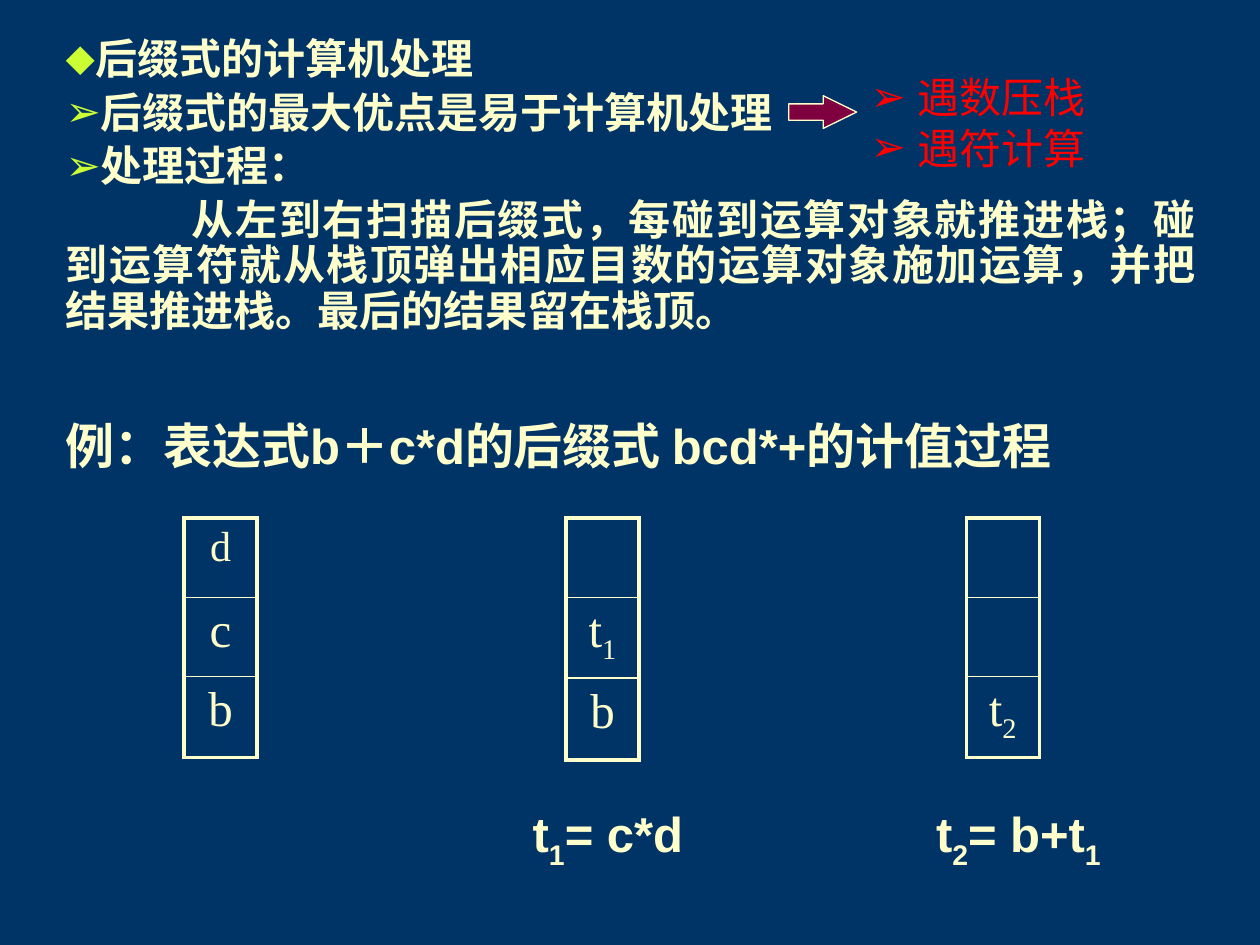
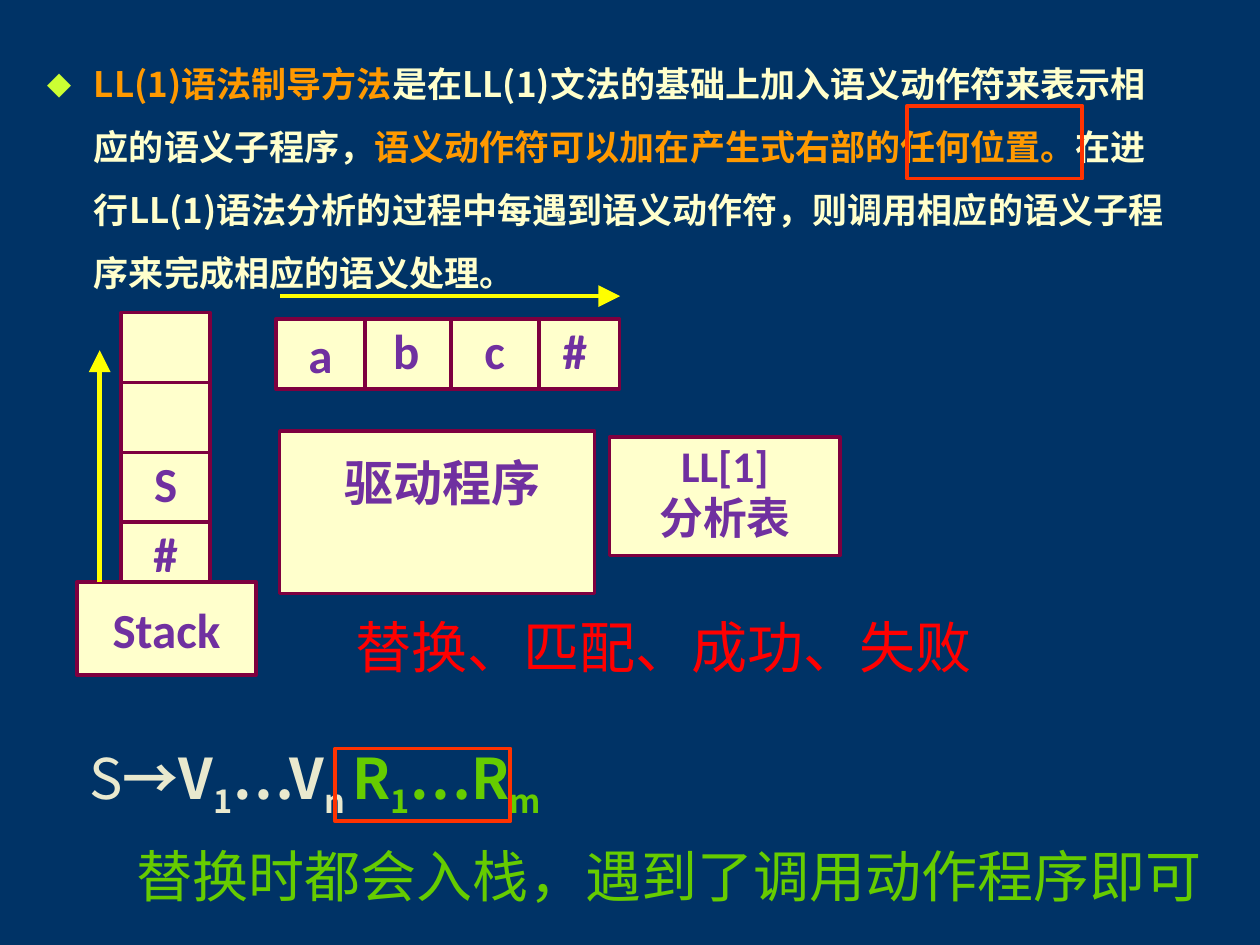
from lxml.etree import SubElement
from pptx import Presentation
from pptx.dml.color import RGBColor
from pptx.enum.shapes import MSO_CONNECTOR, MSO_SHAPE
from pptx.enum.text import MSO_ANCHOR, MSO_AUTO_SIZE, PP_ALIGN
from pptx.oxml.ns import qn
from pptx.util import Cm, Pt

NAVY = RGBColor(0x00, 0x33, 0x66)
CREAM = RGBColor(0xFF, 0xFF, 0xCC)
PALE = RGBColor(0xE9, 0xE9, 0xCE)
LIME = RGBColor(0xCC, 0xFF, 0x33)
GREEN = RGBColor(0x66, 0xCC, 0x00)
RED = RGBColor(0xFF, 0x00, 0x00)
FRAME_RED = RGBColor(0xFF, 0x33, 0x00)
ORANGE = RGBColor(0xFF, 0x99, 0x00)
YELLOW = RGBColor(0xFF, 0xFF, 0x00)
WINE = RGBColor(0x7E, 0x00, 0x3F)
PURPLE = RGBColor(0x70, 0x30, 0xA0)

SERIF, SANS, LABEL, CHINESE = "Times New Roman", "Arial", "Calibri", "Noto Sans CJK SC"
SUB = {"subscript": True}
DIAMOND, ARROWHEAD = "⬥", "➢"

# Postfix evaluation: places are left, top, width, height in cm
POSTFIX_BOX = (1.07, 0.64, 23.29, 7.82)
POSTFIX_POINTS = [
    ("后缀式的计算机处理", {"bullet": DIAMOND}),
    ("后缀式的最大优点是易于计算机处理", {"bullet": ARROWHEAD, "align": PP_ALIGN.JUSTIFY}),
    ("处理过程：", {"bullet": ARROWHEAD, "align": PP_ALIGN.JUSTIFY}),
    ("从左到右扫描后缀式，每碰到运算对象就推进栈；碰到运算符就从栈顶弹出相应目数的"
     "运算对象施加运算，并把结果推进栈。最后的结果留在栈顶。",
     {"indent": 2.54, "align": PP_ALIGN.JUSTIFY}),
]
EXAMPLE = "例：表达式b＋c*d的后缀式 bcd*+的计值过程"
EXAMPLE_BOX = (1.07, 8.26, 20.47, 1.45)
RULES = ["遇数压栈", "遇符计算"]
RULES_BOX = (17.3, 1.32, 8.51, 2.31)
RULES_ARROW = (15.9, 1.93, 1.37, 0.66)

STACK_TOP, STACK_WIDTH = 10.44, 1.47
STACKS = [  # left, row heights, cells from the top down
    (3.71, (1.6, 1.6, 1.63), ["d", "c", "b"]),
    (11.41, (1.6, 1.63, 1.65), [None, [("t", {}), ("1", SUB)], "b"]),
    (19.48, (1.6, 1.6, 1.63), [None, None, [("t", {}), ("2", SUB)]]),
]
RESULTS = [
    ((10.49, 16.08, 4.01, 1.45), [("t", {}), ("1", SUB), ("= c*d", {})]),
    ((18.62, 16.08, 4.24, 1.45), [("t", {}), ("2", SUB), ("= b+t", {}), ("1", SUB)]),
]

# Syntax-directed method
METHOD_BOX = (0.69, 0.71, 23.24, 10.59)
METHOD = [
    ("LL(1)语法制导方法", {"color": ORANGE}),
    ("是在LL(1)文法的基础上加入语义动作符来表示相应的语义子程序，", {}),
    ("语义动作符可以加在产生式右部的任何位置。", {"color": ORANGE}),
    ("在进行LL(1)语法分析的过程中每遇到语义动作符，则调用相应的语义子程序来完成相应的语义处理。", {}),
]
CELL_WIDTH, CELL_HEIGHT = 1.8, 1.41
TAPE_TOP = 6.43
TAPE = [("#", 10.69), ("c", 9.07), ("b", 7.29), ("a", 5.56)]
PARSE_STACK_LEFT, PARSE_STACK_TOP = 2.44, 6.3
PARSE_STACK = [None, None, "S", "#"]
STACK_BASE = (1.55, 11.73, 3.61, 1.88)
PARSE_TABLE = (12.29, 8.81, 4.65, 2.39)
DRIVER = (5.64, 8.69, 6.35, 3.28)
ARROWS = [(5.64, 5.97, 12.5, 5.97), (2.01, 11.73, 2.01, 7.06)]
HIGHLIGHTS = [(6.76, 15.09, 3.53, 1.47), (18.29, 2.13, 3.53, 1.47)]
PRODUCTION = [
    ("S", {}), ("→V", {"bold": True}), ("1", {"bold": True, **SUB}),
    ("…V", {"bold": True}), ("n ", {"bold": True, **SUB}),
    *[(text, {"bold": True, "color": GREEN, "subscript": text in "1m"})
      for text in ("R", "1", "…R", "m")],
]
REMARKS = [
    ((6.91, 12.22, 13.77, 1.63), "替换、匹配、成功、失败", RED),
    ((1.55, 14.86, 20.75, 1.63), PRODUCTION, PALE),
    ((2.51, 16.84, 22.5, 1.63), "替换时都会入栈，遇到了调用动作程序即可", GREEN),
]


def place(box):
    return [Cm(length) for length in box]


def add_run(paragraph, text, size, font, color, bold=False, subscript=False):
    run = paragraph.add_run()
    run.text = text
    run.font.name, run.font.size, run.font.bold = font, Pt(size), bold
    run.font.color.rgb = color
    properties = run.font._element
    SubElement(properties, qn("a:ea")).set("typeface", CHINESE)
    if subscript:
        properties.set("baseline", "-25000")


def write(frame, text, new=False, align=None, spacing=None, before=0, bullet=None,
          bullet_color=None, margin=0, indent=0, **font):
    """Write one paragraph; text is a string or a list of (text, run format)."""
    paragraph = frame.add_paragraph() if new else frame.paragraphs[0]
    properties = paragraph._p.get_or_add_pPr()
    properties.set("marL", str(Cm(margin)))
    properties.set("indent", str(Cm(indent)))
    if bullet:
        if bullet_color:
            color = SubElement(properties, qn("a:buClr"))
            SubElement(color, qn("a:srgbClr")).set("val", str(bullet_color))
        SubElement(properties, qn("a:buFont")).set("typeface", SANS)
        SubElement(properties, qn("a:buChar")).set("char", bullet)
    else:
        SubElement(properties, qn("a:buNone"))
    paragraph.alignment = align
    paragraph.space_before = Pt(before)
    if spacing:
        paragraph.line_spacing = spacing
    runs = [(text, {})] if isinstance(text, str) else text
    for run_text, changes in runs:
        add_run(paragraph, run_text, **{**font, **changes})


def add_text(slide, box, lines, **formatting):
    frame = slide.shapes.add_textbox(*place(box)).text_frame
    frame.word_wrap = True
    for index, line in enumerate(lines):
        write(frame, line, new=index > 0, **formatting)


def add_shape(slide, kind, box, line, width, fill=None):
    shape = slide.shapes.add_shape(kind, *place(box))
    shape.shadow.inherit = False
    if fill is None:
        shape.fill.background()
    else:
        shape.fill.solid()
        shape.fill.fore_color.rgb = fill
    shape.line.color.rgb, shape.line.width = line, Pt(width)
    return shape


def add_block(slide, box, lines=(), anchor=MSO_ANCHOR.TOP, size=28, font=LABEL,
              left=0.03, bottom=0.03):
    shape = add_shape(slide, MSO_SHAPE.RECTANGLE, box, WINE, 2, CREAM)
    frame = shape.text_frame
    frame.margin_top = frame.margin_right = Cm(0.03)
    frame.margin_left, frame.margin_bottom = Cm(left), Cm(bottom)
    frame.vertical_anchor = anchor
    for index, line in enumerate(lines):
        write(frame, line, new=index > 0, align=PP_ALIGN.CENTER,
              size=size, font=font, color=PURPLE, bold=True)


def add_arrow(slide, ends):
    connector = slide.shapes.add_connector(MSO_CONNECTOR.STRAIGHT, *place(ends))
    connector.line.color.rgb, connector.line.width = YELLOW, Pt(2.5)
    properties = connector._element.spPr
    SubElement(properties.find(qn("a:ln")), qn("a:tailEnd"), type="triangle", w="lg", len="lg")
    SubElement(properties, qn("a:effectLst"))


def set_borders(cell, **widths):
    properties = cell._tc.get_or_add_tcPr()
    for side, width in widths.items():
        line = SubElement(properties, qn(f"a:ln{side}"), w=str(Pt(width)))
        fill = SubElement(line, qn("a:solidFill"))
        SubElement(fill, qn("a:srgbClr")).set("val", str(CREAM))


def add_stack(slide, left, heights, contents):
    last = len(contents) - 1
    box = (left, STACK_TOP, STACK_WIDTH, sum(heights))
    table = slide.shapes.add_table(len(contents), 1, *place(box)).table
    table.first_row = table.horz_banding = False
    for index, (height, content) in enumerate(zip(heights, contents)):
        table.rows[index].height = Cm(height)
        cell = table.cell(index, 0)
        set_borders(cell, L=2.25, R=2.25, T=1 if index else 2.25, B=1 if index < last else 2.25)
        cell.fill.background()
        if content:
            write(cell.text_frame, content, align=PP_ALIGN.CENTER,
                  size=28 if index else 24, font=SERIF, color=CREAM)


def add_body_slide(presentation, box):
    """Add a slide without a title and return it with its body text frame."""
    slide = presentation.slides.add_slide(presentation.slide_layouts[1])
    title = slide.shapes.title._element
    title.getparent().remove(title)
    body = slide.placeholders[1]
    body.left, body.top, body.width, body.height = place(box)
    body.text_frame.auto_size = MSO_AUTO_SIZE.NONE
    body.text_frame.vertical_anchor = MSO_ANCHOR.TOP
    return slide, body.text_frame


def build_postfix_slide(presentation):
    slide, frame = add_body_slide(presentation, POSTFIX_BOX)
    for index, (text, formatting) in enumerate(POSTFIX_POINTS):
        write(frame, text, new=index > 0, spacing=0.9, before=4.8 if index else 0,
              bullet_color=LIME, size=24, font=SERIF, color=CREAM, bold=True, **formatting)
    for stack in STACKS:
        add_stack(slide, *stack)
    heading = {"size": 28, "font": SANS, "color": CREAM, "bold": True}
    for box, formula in RESULTS:
        add_text(slide, box, [formula], **heading)
    add_text(slide, EXAMPLE_BOX, [EXAMPLE], **heading)
    add_text(slide, RULES_BOX, RULES, bullet=ARROWHEAD, margin=0.95, indent=-0.95,
             size=24, font=SERIF, color=RED)
    arrow = add_shape(slide, MSO_SHAPE.RIGHT_ARROW, RULES_ARROW, CREAM, 0.75, WINE)
    arrow.adjustments[1] = 1.02


def build_method_slide(presentation):
    slide, frame = add_body_slide(presentation, METHOD_BOX)
    write(frame, METHOD, spacing=1.5, bullet=DIAMOND, bullet_color=LIME, margin=0.95,
          indent=-0.95, size=20, font=CHINESE, color=CREAM, bold=True)
    for symbol, left in TAPE:
        anchor = MSO_ANCHOR.MIDDLE if symbol == "a" else MSO_ANCHOR.TOP
        add_block(slide, (left, TAPE_TOP, CELL_WIDTH, CELL_HEIGHT), [symbol], anchor)
    for index, symbol in enumerate(PARSE_STACK):
        top = PARSE_STACK_TOP + index * CELL_HEIGHT
        height = min(CELL_HEIGHT, STACK_BASE[1] - top)
        add_block(slide, (PARSE_STACK_LEFT, top, CELL_WIDTH, height), [symbol] if symbol else [])
    add_block(slide, STACK_BASE, ["Stack"], MSO_ANCHOR.MIDDLE)
    add_block(slide, PARSE_TABLE, ["LL[1]", "分析表"], size=25)
    add_block(slide, DRIVER, ["驱动程序"], MSO_ANCHOR.MIDDLE, font=CHINESE, left=0.23, bottom=1.25)
    for ends in ARROWS:
        add_arrow(slide, ends)
    for box, text, color in REMARKS:
        add_text(slide, box, [text], size=32, font=CHINESE, color=color)
    for box in HIGHLIGHTS:
        add_shape(slide, MSO_SHAPE.RECTANGLE, box, FRAME_RED, 2.25)


def main():
    presentation = Presentation()
    presentation.slide_width, presentation.slide_height = Cm(25.4), Cm(19.05)
    background = presentation.slide_master.background.fill
    background.solid()
    background.fore_color.rgb = NAVY
    build_postfix_slide(presentation)
    build_method_slide(presentation)
    presentation.save("out.pptx")


if __name__ == "__main__":
    main()
